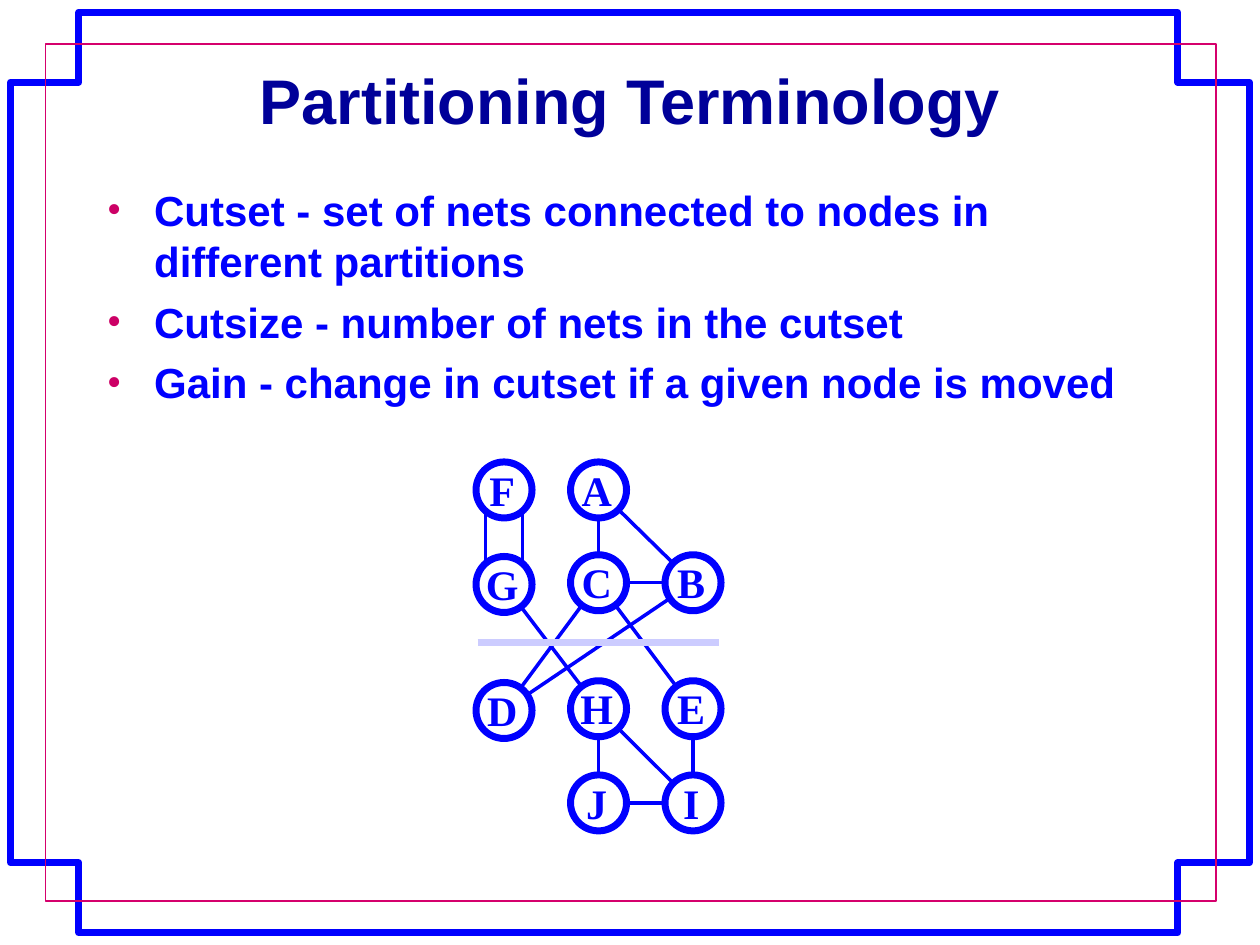
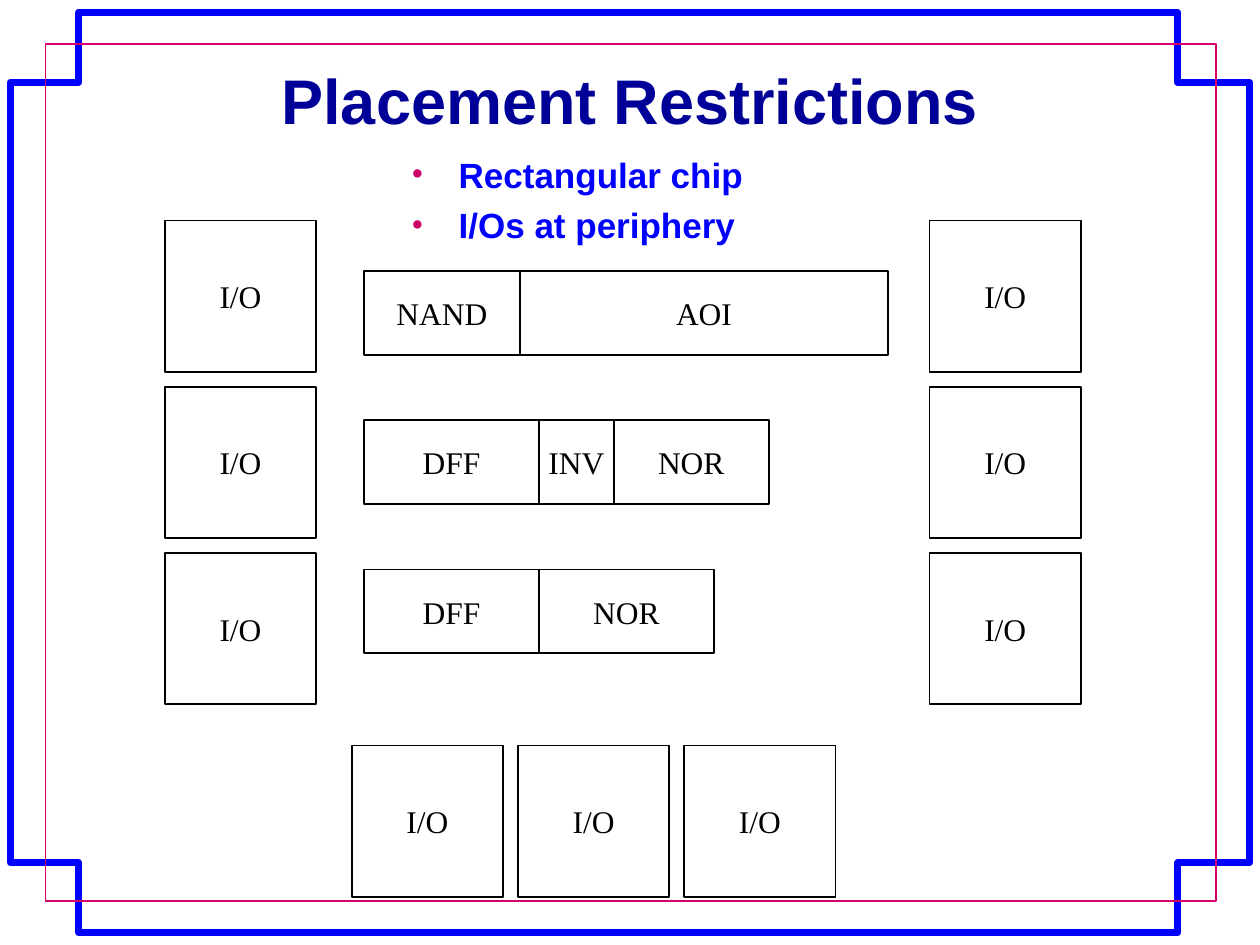
import pptx
import pptx.dml.color
import pptx.enum.shapes
import pptx.enum.text
import pptx.oxml.ns
import pptx.util
from lxml import etree

Pt = pptx.util.Pt
SHAPES = pptx.enum.shapes.MSO_SHAPE
ANCHOR = pptx.enum.text.MSO_ANCHOR
ALIGN = pptx.enum.text.PP_ALIGN

BLUE, NAVY, MAGENTA, CRIMSON = "0000FF", "000099", "CC0066", "D5006C"
LILAC, BLACK, WHITE = "CCCCFF", "000000", "FFFFFF"
SANS, SERIF = "Arial", "Times New Roman"

OUTER_X = (6.2, 45.2, 673, 714)
OUTER_Y = (7.2, 46.8, 493, 532.8)
INNER_X = (25.8, 694.8)
INNER_Y = (25, 515)
TITLE_AREA = (54, 30, 612, 54)

TERMS = {
    "title": "Partitioning Terminology",
    "bullets": [
        "Cutset - set of nets connected to nodes in different partitions",
        "Cutsize - number of nets in the cutset",
        "Gain - change in cutset if a given node is moved",
    ],
    "area": (54, 102, 612, 378),
    "size": 24,
    "space": 6,
}
NODES = {
    "I": (396, 458.8), "J": (342, 458.8), "G": (288, 334), "D": (288, 406),
    "B": (396, 333), "H": (342, 405), "F": (288, 280), "C": (342, 333),
    "E": (396, 405), "A": (342, 280),
}
EDGES = ["BD", "GH", "EC", "CD", "BC", "AC", "BA", "EI", "IJ", "JH", "HI"]
PARALLEL_EDGE = "GF"
PARALLEL_SHIFT = 10.5
NODE_DIAMETER = 32
CUT_LINE = (273, 367, 411, 367)

RESTRICTIONS = {
    "title": "Placement Restrictions",
    "bullets": ["Rectangular chip", "I/Os at periphery"],
    "area": (228, 84, 222, 60),
    "size": 20,
    "space": 5,
}
CELL_WIDTHS = {"NAND": 89, "AOI": 210.6, "DFF": 100, "INV": 42.8, "NOR": 88.5}
CELL_ROWS = [
    [("NAND", 0), ("AOI", 0)],
    [("DFF", 0), ("INV", 0), ("NOR", 0)],
    [("DFF", 0), ("NOR", 11.5)],
]
ROW_LEFT, ROW_TOP, ROW_PITCH, CELL_HEIGHT = 208, 154.8, 85.3, 48
PAD_SIZE, PAD_PITCH, PADS_PER_SIDE = 86.5, 95, 3
PAD_BANKS = [
    (94.2, 126, 0, PAD_PITCH),
    (201, 426, PAD_PITCH, 0),
    (531.2, 126, 0, PAD_PITCH),
]


def color(hex_text):
    return pptx.dml.color.RGBColor.from_string(hex_text)


def points(values):
    return [Pt(value) for value in values]


def set_line(item, hex_text, width):
    item.line.color.rgb = color(hex_text)
    item.line.width = Pt(width)


def set_frame(shape, insets, anchor, wrap):
    frame = shape.text_frame
    frame.margin_left, frame.margin_top, frame.margin_right, frame.margin_bottom = points(insets)
    frame.vertical_anchor = anchor
    frame.word_wrap = wrap
    return frame


def add_span(para, text, font, size, hex_text, bold=False):
    span = para.add_run()
    span.text = text
    span.font.name = font
    span.font.size = Pt(size)
    span.font.bold = bold
    span.font.color.rgb = color(hex_text)


def add_outline(page, corners, hex_text, width):
    builder = page.shapes.build_freeform(*corners[0], scale=Pt(1))
    builder.add_line_segments(corners[1:], close=True)
    outline = builder.convert_to_shape()
    outline.fill.background()
    outline.shadow.inherit = False
    set_line(outline, hex_text, width)


def add_border(page):
    left, notch_left, notch_right, right = OUTER_X
    top, notch_top, notch_bottom, bottom = OUTER_Y
    add_outline(page, [
        (left, notch_top), (notch_left, notch_top), (notch_left, top),
        (notch_right, top), (notch_right, notch_top), (right, notch_top),
        (right, notch_bottom), (notch_right, notch_bottom), (notch_right, bottom),
        (notch_left, bottom), (notch_left, notch_bottom), (left, notch_bottom),
    ], BLUE, 4)
    left, right = INNER_X
    top, bottom = INNER_Y
    add_outline(page, [(left, top), (right, top), (right, bottom), (left, bottom)], CRIMSON, 1)


def add_bullet(para):
    properties = para._p.get_or_add_pPr()
    properties.set("marL", str(Pt(27)))
    properties.set("indent", str(Pt(-27)))
    tag = pptx.oxml.ns.qn
    bullet_color = etree.SubElement(properties, tag("a:buClr"))
    etree.SubElement(bullet_color, tag("a:srgbClr"), val=MAGENTA)
    etree.SubElement(properties, tag("a:buFont"), typeface=SERIF)
    etree.SubElement(properties, tag("a:buChar"), char="•")


def add_page(deck, content):
    page = deck.slides.add_slide(deck.slide_layouts[6])
    add_border(page)
    title = page.shapes.add_textbox(*points(TITLE_AREA))
    para = set_frame(title, (7.2, 3.6, 7.2, 3.6), ANCHOR.MIDDLE, True).paragraphs[0]
    para.alignment = ALIGN.CENTER
    add_span(para, content["title"], SANS, 36, NAVY, True)
    body = page.shapes.add_textbox(*points(content["area"]))
    frame = set_frame(body, (7.2, 3.6, 7.2, 3.6), ANCHOR.TOP, True)
    for index, text in enumerate(content["bullets"]):
        para = frame.add_paragraph() if index else frame.paragraphs[0]
        para.space_before = Pt(content["space"])
        add_bullet(para)
        add_span(para, text, SANS, content["size"], BLUE, True)
    return page


def add_segment(page, ends, hex_text, width):
    segment = page.shapes.add_connector(pptx.enum.shapes.MSO_CONNECTOR.STRAIGHT, *points(ends))
    set_line(segment, hex_text, width)
    etree.SubElement(segment._element.spPr, pptx.oxml.ns.qn("a:effectLst"))


def add_box(page, kind, area, hex_text, line_width, insets):
    box = page.shapes.add_shape(kind, *points(area))
    box.shadow.inherit = False
    box.fill.solid()
    box.fill.fore_color.rgb = color(WHITE)
    set_line(box, hex_text, line_width)
    para = set_frame(box, insets, ANCHOR.MIDDLE, False).paragraphs[0]
    para.alignment = ALIGN.CENTER
    return para


def add_node(page, name):
    x, y = NODES[name]
    radius = NODE_DIAMETER / 2
    area = (x - radius, y - radius, NODE_DIAMETER, NODE_DIAMETER)
    para = add_box(page, SHAPES.OVAL, area, BLUE, 4, (0, 0, 2, 0))
    para.line_spacing = Pt(28)
    add_span(para, name, SERIF, 24, BLUE, True)


def add_cell(page, name, area):
    para = add_box(page, SHAPES.RECTANGLE, area, BLACK, 1, (6.5, 3, 6.5, 3))
    add_span(para, name, SERIF, 18, BLACK)


def add_graph(page):
    shifted = [(edge, 0) for edge in EDGES]
    shifted += [(PARALLEL_EDGE, shift) for shift in (PARALLEL_SHIFT, -PARALLEL_SHIFT)]
    for (start, end), shift in shifted:
        (x1, y1), (x2, y2) = NODES[start], NODES[end]
        add_segment(page, (x1 + shift, y1, x2 + shift, y2), BLUE, 2)
    for name in NODES:
        add_node(page, name)
    add_segment(page, CUT_LINE, LILAC, 4)


def add_chip(page):
    for index, row in enumerate(CELL_ROWS):
        left = ROW_LEFT
        for name, extra in row:
            width = CELL_WIDTHS[name] + extra
            add_cell(page, name, (left, ROW_TOP + index * ROW_PITCH, width, CELL_HEIGHT))
            left += width
    for left, top, step_x, step_y in PAD_BANKS:
        for index in range(PADS_PER_SIDE):
            area = (left + index * step_x, top + index * step_y, PAD_SIZE, PAD_SIZE)
            add_cell(page, "I/O", area)


def main():
    deck = pptx.Presentation()
    deck.slide_width, deck.slide_height = points((720, 540))
    add_graph(add_page(deck, TERMS))
    add_chip(add_page(deck, RESTRICTIONS))
    deck.save("out.pptx")


if __name__ == "__main__":
    main()
